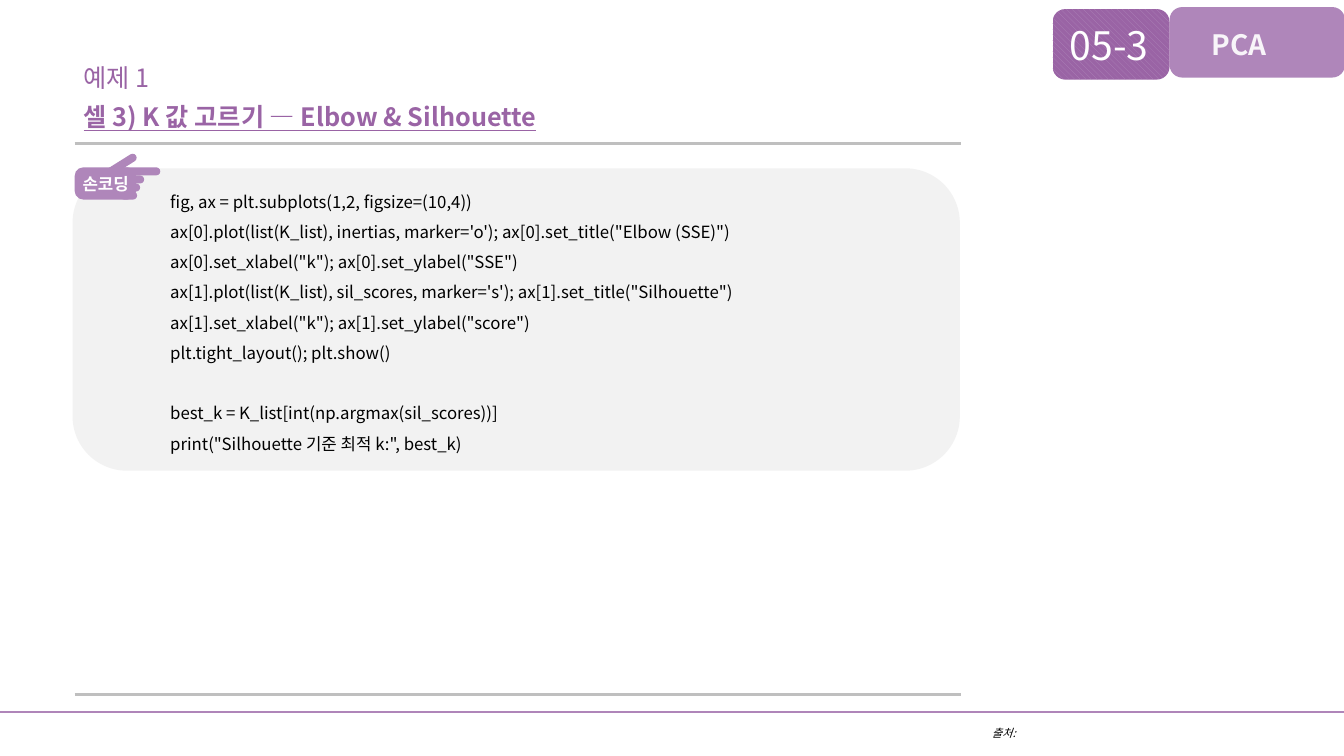
from dataclasses import dataclass
from typing import NamedTuple

from lxml import etree
from pptx import Presentation
from pptx import util as u
from pptx.dml.color import RGBColor
from pptx.enum import dml, shapes, text
from pptx.oxml.ns import qn

PX = u.Inches(1) // 100
FONT = "Noto Sans CJK KR"
COLORS = {
    "plum": "9A64A5",
    "lilac": "AF86BA",
    "rule": "AF85B9",
    "gray": "BFBFBF",
    "panel": "F2F2F2",
    "white": "FFFFFF",
    "pale": "F8F5F9",
    "black": "000000",
}


class Box(NamedTuple):
    left: int
    top: int
    width: int
    height: int

    def emu(self) -> list[int]:
        return [value * PX for value in self]


@dataclass
class Label:
    box: Box
    lines: list[str]
    size: int
    color: str
    bold: bool = False
    italic: bool = False
    underline: bool = False
    spacing: float = 1.0
    wrap: bool = True


@dataclass
class Block:
    box: Box
    radius: float
    color: str
    rotation: float = 0


@dataclass
class Rule:
    left: int
    right: int
    y: int
    color: str
    weight: float


def rgb(name: str) -> RGBColor:
    return RGBColor.from_string(COLORS[name])


def fill_label(shape, label: Label) -> None:
    shape.left, shape.top, shape.width, shape.height = label.box.emu()
    frame = shape.text_frame
    frame.word_wrap = label.wrap
    frame.auto_size = text.MSO_AUTO_SIZE.NONE
    frame.vertical_anchor = text.MSO_ANCHOR.TOP
    frame.text = "\n".join(label.lines)
    for paragraph in frame.paragraphs:
        paragraph.alignment = text.PP_ALIGN.LEFT
        paragraph.line_spacing = label.spacing
        font = paragraph.font
        font.name = FONT
        font.size = u.Pt(label.size)
        font.bold = label.bold
        font.italic = label.italic
        font.underline = label.underline
        font.color.rgb = rgb(label.color)
        defaults = paragraph._p.pPr.find(qn("a:defRPr"))
        etree.SubElement(defaults, qn("a:ea"), typeface=FONT)


def add_label(slide, label: Label):
    shape = slide.shapes.add_textbox(*label.box.emu())
    fill_label(shape, label)
    return shape


def add_block(container, block: Block):
    shape = container.shapes.add_shape(
        shapes.MSO_SHAPE.ROUNDED_RECTANGLE, *block.box.emu())
    shape.adjustments[0] = block.radius
    shape.rotation = block.rotation
    shape.shadow.inherit = False
    shape.fill.solid()
    shape.fill.fore_color.rgb = rgb(block.color)
    shape.line.fill.background()
    return shape


def add_rule(slide, rule: Rule) -> None:
    connector = slide.shapes.add_connector(
        shapes.MSO_CONNECTOR.STRAIGHT,
        rule.left * PX, rule.y * PX, rule.right * PX, rule.y * PX)
    connector.line.color.rgb = rgb(rule.color)
    connector.line.width = u.Pt(rule.weight)
    etree.SubElement(connector._element.spPr, qn("a:effectLst"))


def add_hand(slide) -> None:
    finger_height = 8
    fingers = [(119, 40), (117, 26), (119, 20), (119, 17)]
    hand = slide.shapes.add_group_shape()
    add_block(hand, Block(Box(74, 166, 61, 32), 0.27, "lilac"))
    for row, (left, width) in enumerate(fingers):
        box = Box(left, 166 + row * finger_height, width, finger_height)
        add_block(hand, Block(box, 0.5, "lilac"))
    add_block(hand, Block(Box(98, 161, 40, finger_height), 0.5, "lilac", 327.9))


def add_code(slide) -> None:
    plot_lines = [
        "fig, ax = plt.subplots(1,2, figsize=(10,4))",
        "ax[0].plot(list(K_list), inertias, marker='o'); ax[0].set_title(\"Elbow (SSE)\")",
        'ax[0].set_xlabel("k"); ax[0].set_ylabel("SSE")',
        "ax[1].plot(list(K_list), sil_scores, marker='s'); ax[1].set_title(\"Silhouette\")",
        'ax[1].set_xlabel("k"); ax[1].set_ylabel("score")',
        "plt.tight_layout(); plt.show()",
    ]
    best_lines = [
        "best_k = K_list[int(np.argmax(sil_scores))]",
        'print("Silhouette 기준 최적 k:", best_k)',
    ]
    code = add_label(slide, Label(Box(159, 175, 726, 279), plot_lines + best_lines,
                                  12, "black", spacing=1.5))
    code.text_frame.paragraphs[len(plot_lines)].space_before = u.Pt(21.6)


def add_chapter(slide) -> None:
    number = add_block(slide, Block(Box(1044, 9, 116, 70), 0.18, "plum"))
    number.fill.patterned()
    number.fill.pattern = dml.MSO_PATTERN.WIDE_DOWNWARD_DIAGONAL
    number.fill.fore_color.rgb = rgb("lilac")
    number.fill.back_color.rgb = rgb("plum")
    add_block(slide, Block(Box(1160, 7, 174, 70), 0.18, "lilac"))
    add_label(slide, Label(Box(1051, 16, 109, 57), ["05-3"], 28, "white"))
    add_label(slide, Label(Box(1192, 22, 121, 44), ["PCA"], 20, "pale", bold=True))


def main() -> None:
    presentation = Presentation()
    presentation.slide_width = 1333 * PX
    presentation.slide_height = 750 * PX
    slide = presentation.slides.add_slide(presentation.slide_layouts[5])

    fill_label(slide.shapes.title, Label(
        Box(73, 96, 839, 40), ["셀 3) K 값 고르기 — Elbow & Silhouette"],
        18, "plum", bold=True, underline=True))
    add_label(slide, Label(Box(73, 42, 839, 50), ["예제 1"], 18, "plum", spacing=1.5))
    add_label(slide, Label(Box(974, 716, 360, 24), ["출처:"], 8, "black", italic=True))

    for rule in (Rule(0, 1333, 706, "rule", 1.5),
                 Rule(74, 953, 142, "gray", 2.25),
                 Rule(74, 953, 689, "gray", 2.25)):
        add_rule(slide, rule)

    add_block(slide, Block(Box(72, 167, 880, 300), 0.18, "panel"))
    add_hand(slide)
    add_label(slide, Label(Box(72, 167, 71, 30), ["손코딩"], 12, "white",
                           bold=True, wrap=False))
    add_code(slide)
    add_chapter(slide)
    presentation.save("out.pptx")


if __name__ == "__main__":
    main()
